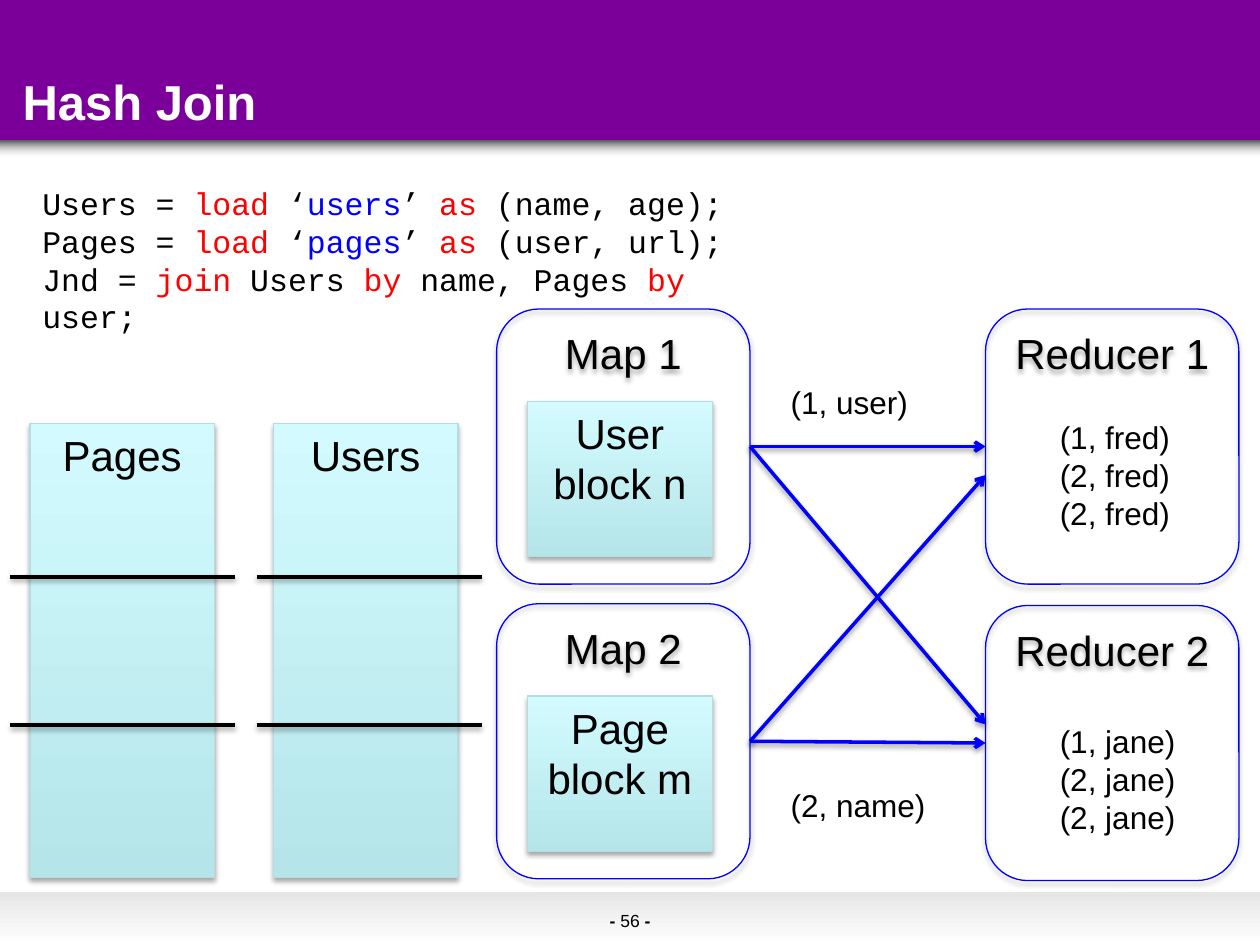
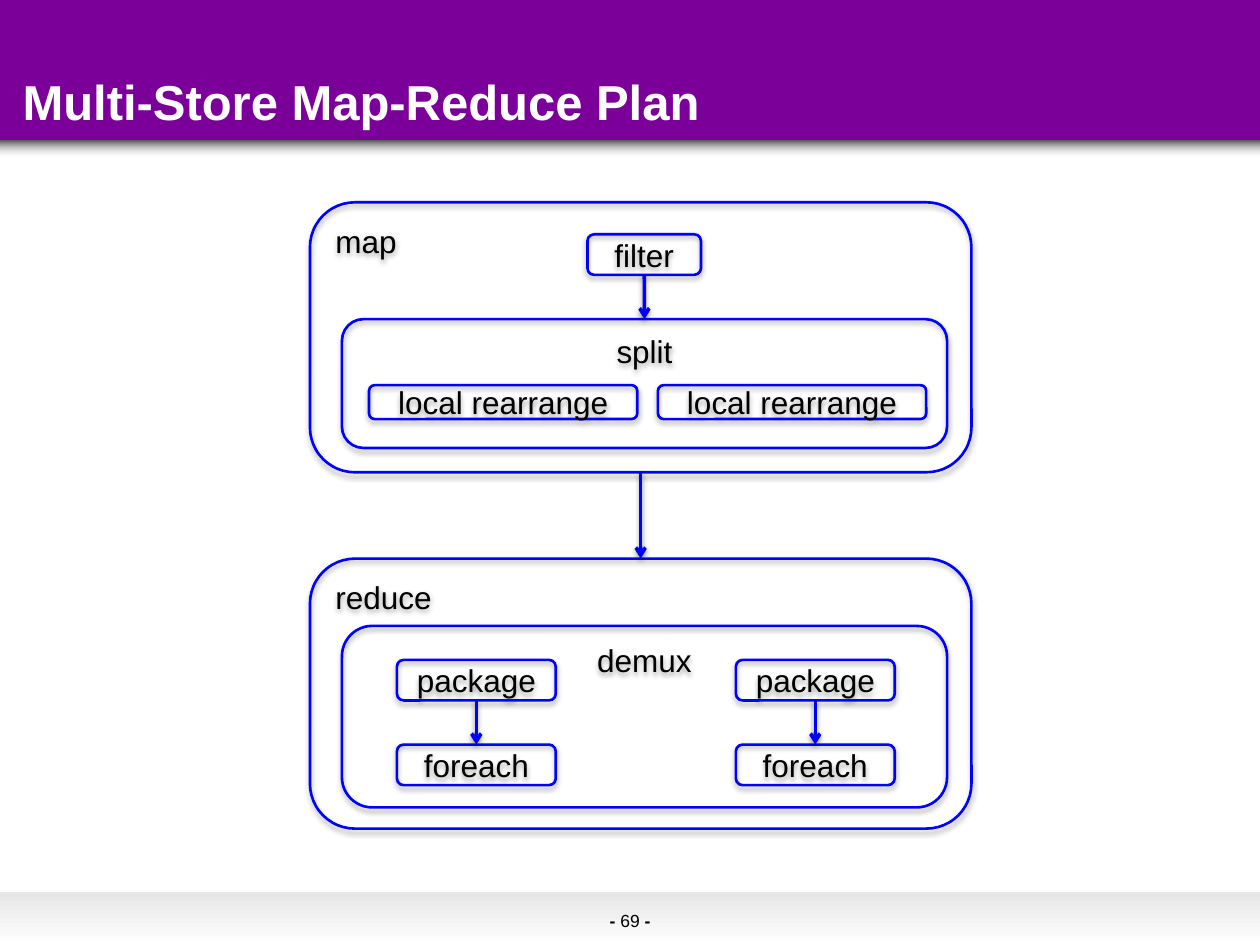
import pptx
import pptx.util
import pptx.dml.color
import pptx.enum.shapes
import pptx.enum.text
import pptx.oxml.ns
from lxml import etree

Pt = pptx.util.Pt
qn = pptx.oxml.ns.qn
RGB = pptx.dml.color.RGBColor.from_string
SHAPE = pptx.enum.shapes.MSO_SHAPE
ANCHOR = pptx.enum.text.MSO_ANCHOR
ALIGN = pptx.enum.text.PP_ALIGN

COLOURS = {
    "purple": "7B0099", "white": "FFFFFF", "black": "000000", "grey": "E6E6E6",
    "blue": "0000FF", "red": "FF0000",
    "aqua": "D3FBFF", "teal": "B5E5E9", "edge": "B6DCDF",
}
BODY = {"name": "Arial", "size": Pt(18), "bold": False, "colour": "black"}
LARGE = BODY | {"size": Pt(24)}
TITLE = BODY | {"size": Pt(28), "bold": True, "colour": "white"}
NUMBER = BODY | {"size": Pt(10)}
CODE = BODY | {"name": "Courier New"}
BOLD = {"bold": True}
RED = {"colour": "red"}
BLUE = {"colour": "blue"}

# Looks for boxes: a fill is one colour, or a top and a bottom colour
CARD = {"fill": ("aqua", "teal"), "line": ("edge", 0.75), "shadow": True, "font": LARGE, "align": ALIGN.CENTER}
STAGE = {"line": ("blue", 0.75), "shadow": True, "font": LARGE, "align": ALIGN.CENTER}
GROUP = {"line": ("blue", 1.5), "shadow": True}
OPERATOR = GROUP | {"align": ALIGN.CENTER}
STEP = OPERATOR | {"anchor": ANCHOR.MIDDLE}


def draw(page, kind, frame, paras=(), fill=None, line=None, shadow=False,
         font=BODY, align=ALIGN.LEFT, anchor=ANCHOR.TOP, wrap=True):
    """Add a shape, or a text box if kind is None; a paragraph is a string or a list of spans."""
    lengths = [Pt(length) for length in frame]
    if kind is None:
        box = page.shapes.add_textbox(*lengths)
    else:
        box = page.shapes.add_shape(kind, *lengths)
        box.shadow.inherit = False
        if isinstance(fill, tuple):
            box.fill.gradient()
            box.fill.gradient_angle = 270
            for stop, colour in zip(box.fill.gradient_stops, fill):
                stop.color.rgb = RGB(COLOURS[colour])
        elif fill:
            box.fill.solid()
            box.fill.fore_color.rgb = RGB(COLOURS[fill])
        else:
            box.fill.background()
        if line:
            box.line.color.rgb = RGB(COLOURS[line[0]])
            box.line.width = Pt(line[1])
        else:
            box.line.fill.background()
    if shadow:
        effects = box._element.spPr.find(qn("a:effectLst"))
        cast = etree.SubElement(effects, qn("a:outerShdw"), blurRad=str(Pt(3.1)),
                                dist=str(Pt(1.8)), dir="5400000", rotWithShape="0")
        tint = etree.SubElement(cast, qn("a:srgbClr"), val=COLOURS["black"])
        etree.SubElement(tint, qn("a:alpha"), val="35000")

    text = box.text_frame
    for name, value in {"word_wrap": wrap, "vertical_anchor": anchor}.items():
        setattr(text, name, value)
    for index, spans in enumerate(paras):
        para = text.paragraphs[0] if index == 0 else text.add_paragraph()
        para.alignment = align
        for words, change in [(spans, {})] if isinstance(spans, str) else spans:
            if words == "\n":
                para.add_line_break()
                continue
            span = para.add_run()
            span.text = words
            for name, value in (font | change).items():
                if name == "colour":
                    span.font.color.rgb = RGB(COLOURS[value])
                else:
                    setattr(span.font, name, value)
    return box


def connect(page, start, end, colour="blue", arrow=True):
    """Draw a line; each end is an (x, y) point or a (box, side) pair."""
    joined = [not isinstance(place[0], (int, float)) for place in (start, end)]
    points = [(0, 0) if join else place for join, place in zip(joined, (start, end))]
    link = page.shapes.add_connector(pptx.enum.shapes.MSO_CONNECTOR.STRAIGHT,
                                     *[Pt(length) for point in points for length in point])
    if joined[0]:
        link.begin_connect(*start)
    if joined[1]:
        link.end_connect(*end)
    link.line.color.rgb = RGB(COLOURS[colour])
    link.line.width = Pt(2)
    if arrow:
        etree.SubElement(link.line._get_or_add_ln(), qn("a:tailEnd"), type="arrow")
    effects = etree.SubElement(link._element.spPr, qn("a:effectLst"))
    cast = etree.SubElement(effects, qn("a:outerShdw"), blurRad=str(Pt(3.1)),
                            dist=str(Pt(1.6)), dir="5400000", rotWithShape="0")
    tint = etree.SubElement(cast, qn("a:srgbClr"), val=COLOURS["black"])
    etree.SubElement(tint, qn("a:alpha"), val="38000")


deck = pptx.Presentation()
deck.slide_width, deck.slide_height = Pt(720), Pt(540)

# Bands, title and page number on every slide
pages = []
for title, number in [("Hash Join", 56), ("Multi-Store Map-Reduce Plan", 69)]:
    page = deck.slides.add_slide(deck.slide_layouts[6])
    fade = draw(page, SHAPE.RECTANGLE, (0, 77.8, 720, 12.2), fill=("black", "white"))
    clear = fade._element.spPr.findall(".//" + qn("a:srgbClr"))[-1]
    etree.SubElement(clear, qn("a:alpha"), val="0")
    draw(page, SHAPE.RECTANGLE, (0, 0, 720, 79.9), fill="purple")
    draw(page, SHAPE.RECTANGLE, (0, 509.8, 720, 30.2), fill=("grey", "white"))
    draw(page, None, (341.3, 517.7, 66.2, 18), [[("- ", BOLD), (f"{number} ", {}), ("-", BOLD)]],
         font=NUMBER, anchor=ANCHOR.BOTTOM)
    draw(page, None, (5.8, 6.5, 702, 71.3), [title], font=TITLE, anchor=ANCHOR.BOTTOM)
    pages.append(page)
join_page, plan_page = pages

# Hash join: input tables, each cut into three blocks
for name, left, cut_left in [("Pages", 17.1, 5.9), ("Users", 156.2, 146.8)]:
    draw(join_page, SHAPE.RECTANGLE, (left, 242, 105.5, 259.5), [name], **CARD)
    for cut_top in (329.7, 414.4):
        connect(join_page, (cut_left, cut_top), (cut_left + 128.5, cut_top), "black", arrow=False)

# Hash join: script
script = [("Users = ", {}), ("load", RED), (" ‘", {}), ("users", BLUE), ("’ ", {}), ("as", RED),
          (" (name, age);", {}), ("\n", {}),
          ("Pages = ", {}), ("load", RED), (" ‘", {}), ("pages", BLUE), ("’ ", {}), ("as", RED),
          (" (user, url);", {}), ("\n", {}),
          ("Jnd = ", {}), ("join", RED), (" Users ", {}), ("by", RED), (" name, Pages ", {}),
          ("by", RED), (" user;", {})]
draw(join_page, None, (17.1, 101.6, 444, 72), [script], font=CODE)

# Hash join: maps with their blocks, and reducers
maps, reducers = [], []
for number, top, block in [(1, 176.6, ["User", "block n"]), (2, 345, ["Page", "block m"])]:
    maps.append(draw(join_page, SHAPE.ROUNDED_RECTANGLE, (283.8, top, 144.8, 157.2),
                     [f"Map {number}"], **STAGE))
    draw(join_page, SHAPE.RECTANGLE, (301.5, top + 52.7, 105.5, 88.9), block, **CARD)
for number, top in [(1, 176.6), (2, 346)]:
    reducers.append(draw(join_page, SHAPE.ROUNDED_RECTANGLE, (563.2, top, 144.8, 157.2),
                         [f"Reducer {number}"], **STAGE))

# Hash join: every map feeds every reducer
for start, end in [(maps[0], (reducers[0], 1)), (maps[0], (563.2, 414)),
                   (maps[1], (563.2, 271.5)), (maps[1], (reducers[1], 1))]:
    connect(join_page, (start, 3), end)

# Hash join: keys and records
for frame, lines in [((444.7, 215.4, 81.4, 28.8), ["(1, user)"]),
                     ((444.7, 445.7, 91.4, 28.8), ["(2, name)"]),
                     ((598.5, 235.4, 77.8, 72), ["(1, fred)", "(2, fred)", "(2, fred)"]),
                     ((598.5, 409.3, 80.6, 72), ["(1, jane)", "(2, jane)", "(2, jane)"])]:
    draw(join_page, None, frame, lines, wrap=False)

# Plan: the two phases and their main operators
map_phase, reduce_phase = [
    draw(plan_page, SHAPE.ROUNDED_RECTANGLE, (177.1, top, 378, 154.3), [name], **GROUP)
    for name, top in [("map", 115.6), ("reduce", 319.2)]]
split, demux = [
    draw(plan_page, SHAPE.ROUNDED_RECTANGLE, (195.4, top, 345.8, height), [name], **OPERATOR)
    for name, top, height in [("split", 182.4, 73.6), ("demux", 357.7, 103.7)]]
connect(plan_page, (map_phase, 2), (reduce_phase, 0))

# Plan: steps inside the map phase
filter_step = draw(plan_page, SHAPE.ROUNDED_RECTANGLE, (335.7, 133.9, 64.9, 23.2), ["filter"], **STEP)
connect(plan_page, (filter_step, 2), (split, 0))
for left in (210.9, 376):
    draw(plan_page, SHAPE.ROUNDED_RECTANGLE, (left, 220.1, 153.3, 19.4), ["local rearrange"], **STEP)

# Plan: the two pipelines inside demux
for left in (226.8, 420.5):
    bundle, each = [
        draw(plan_page, SHAPE.ROUNDED_RECTANGLE, (left, top, 90.8, 23.2), [name], **STEP)
        for name, top in [("package", 377.1), ("foreach", 425.5)]]
    connect(plan_page, (bundle, 2), (each, 0))

deck.save("out.pptx")
